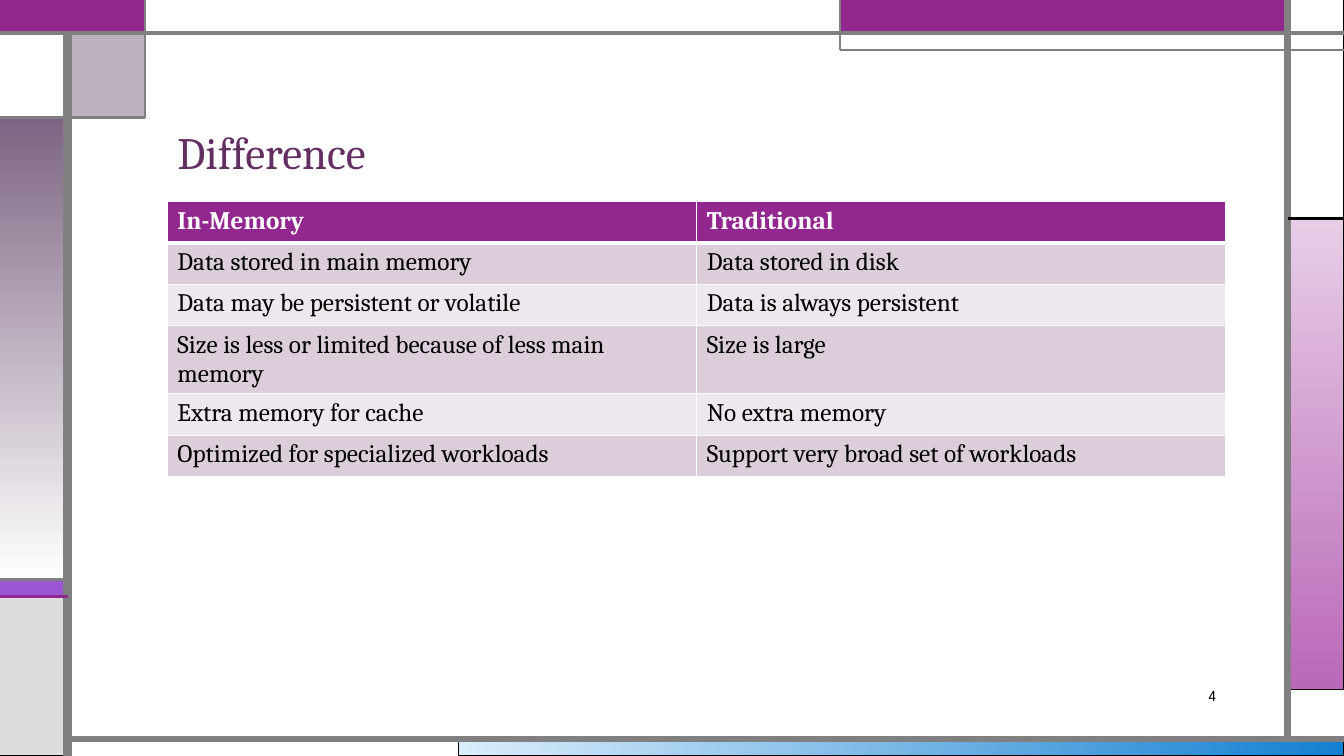
"""Build the slide comparing in-memory and traditional databases."""
from dataclasses import dataclass
from typing import Optional

from lxml.etree import SubElement
from pptx import Presentation
from pptx.dml.color import RGBColor
from pptx.enum.shapes import MSO_CONNECTOR, MSO_SHAPE
from pptx.enum.text import MSO_ANCHOR, MSO_AUTO_SIZE, PP_ALIGN
from pptx.oxml.ns import qn
from pptx.slide import Slide
from pptx.table import _Cell
from pptx.util import Inches, Pt


@dataclass(frozen=True)
class Theme:
    """Colours, fonts and type sizes of the slide."""
    accent: str = "92278F"
    violet: str = "9B57D3"
    blue_violet: str = "755DD9"
    mauve: str = "7E6583"
    pale_grey: str = "DDDDDD"
    grey: str = "808080"
    white: str = "FFFFFF"
    black: str = "000000"
    pink: tuple[str, str] = ("E8CDE7", "BA69B8")
    blue: tuple[str, str] = ("DAEDFB", "1480D1")
    bands: tuple[str, str] = ("DCCDDB", "EEE8EE")
    title_color: str = "632E62"
    font: str = "Cambria"
    number_font: str = "League Spartan"
    title_size: int = 32
    table_size: int = 18
    number_size: int = 11


THEME = Theme()
WIDTH, HEIGHT = 13.33, 7.5
LEFT_RAIL, RIGHT_RAIL = 0.67, 12.77
TOP_RAIL, BOTTOM_RAIL = 0.33, 7.33
CORNER_X, CORNER_Y = 1.44, 1.17
TAB_X, TAB_Y = 8.33, 0.5
PINK_TOP, PINK_BOTTOM = 2.17, 6.84
STRIPE_TOP, STRIPE_BOTTOM = 5.75, 5.92
CONTENT_X, CONTENT_WIDTH = 1.66, 10.5
ROW_HEIGHT = 0.41


@dataclass(frozen=True)
class Panel:
    """A frame panel given by its edges, with a plain or gradient fill."""
    left: float
    top: float
    right: float
    bottom: float
    color: str
    end_color: Optional[str] = None
    angle: int = 0
    opacity: int = 100
    outline: str = THEME.black
    outline_width: float = 0.75


@dataclass(frozen=True)
class Rail:
    """A straight frame line between two points."""
    x1: float
    y1: float
    x2: float
    y2: float
    width: float
    color: str = THEME.grey


PANELS = [
    Panel(4.55, BOTTOM_RAIL, WIDTH, HEIGHT, *THEME.blue),
    Panel(RIGHT_RAIL, PINK_TOP, WIDTH, PINK_BOTTOM, *THEME.pink, angle=270),
    Panel(0, STRIPE_TOP, LEFT_RAIL, STRIPE_BOTTOM, THEME.violet),
    Panel(0, STRIPE_BOTTOM, LEFT_RAIL, HEIGHT, THEME.pale_grey),
    Panel(RIGHT_RAIL, 0, WIDTH, PINK_TOP, THEME.white),
    Panel(TAB_X, 0, RIGHT_RAIL, TOP_RAIL, THEME.accent, outline=THEME.blue_violet),
    Panel(LEFT_RAIL, TOP_RAIL, CORNER_X, CORNER_Y, THEME.mauve, opacity=50),
    Panel(0, CORNER_Y, LEFT_RAIL, STRIPE_TOP, THEME.mauve, THEME.white, angle=270),
    Panel(0, TOP_RAIL, LEFT_RAIL, CORNER_Y, THEME.white),
    Panel(0, 0, CORNER_X, TOP_RAIL, THEME.accent, outline=THEME.accent, outline_width=1.5),
    Panel(CORNER_X, 0, TAB_X, TOP_RAIL, THEME.white, outline=THEME.grey),
]

RAILS = [
    Rail(LEFT_RAIL, HEIGHT, LEFT_RAIL, TOP_RAIL, 6),
    Rail(LEFT_RAIL, BOTTOM_RAIL, WIDTH, BOTTOM_RAIL, 4.5),
    Rail(RIGHT_RAIL, BOTTOM_RAIL, RIGHT_RAIL, 0, 4.5),
    Rail(0, TOP_RAIL, WIDTH, TOP_RAIL, 3),
    Rail(WIDTH, TAB_Y, TAB_X, TAB_Y, 1.5),
    Rail(TAB_X, TAB_Y, TAB_X, 0, 1.5),
    Rail(RIGHT_RAIL, PINK_TOP, WIDTH, PINK_TOP, 2.25, THEME.black),
    Rail(CORNER_X, 0, CORNER_X, CORNER_Y, 1.5),
    Rail(CORNER_X, CORNER_Y, 0, CORNER_Y, 2.25),
    Rail(LEFT_RAIL, STRIPE_TOP, 0, STRIPE_TOP, 2.25),
    Rail(LEFT_RAIL, STRIPE_BOTTOM, 0, STRIPE_BOTTOM, 2.25, THEME.accent),
]

COMPARISON = [
    ("In-Memory", "Traditional"),
    ("Data stored in main memory", "Data stored in disk"),
    ("Data may be persistent or volatile", "Data is always persistent"),
    ("Size is less or limited because of less main memory", "Size is large"),
    ("Extra memory for cache", "No extra memory"),
    ("Optimized for specialized workloads", "Support very broad set of workloads"),
]


def rgb(color: str) -> RGBColor:
    """Turn a hex string into a colour."""
    return RGBColor.from_string(color)


def style_font(font, name: str, size: int, color: str, bold: bool = False) -> None:
    """Set the typeface, size, colour and weight of a font."""
    font.name, font.size, font.bold = name, Pt(size), bold
    font.color.rgb = rgb(color)


def draw_panel(slide: Slide, panel: Panel) -> None:
    """Draw one panel of the frame."""
    block = slide.shapes.add_shape(
        MSO_SHAPE.RECTANGLE, Inches(panel.left), Inches(panel.top),
        Inches(panel.right - panel.left), Inches(panel.bottom - panel.top))
    block.shadow.inherit = False
    block.line.color.rgb = rgb(panel.outline)
    block.line.width = Pt(panel.outline_width)
    if panel.end_color:
        block.fill.gradient()
        block.fill.gradient_angle = panel.angle
        for stop, color in zip(block.fill.gradient_stops, (panel.color, panel.end_color)):
            stop.color.rgb = rgb(color)
        return
    block.fill.solid()
    block.fill.fore_color.rgb = rgb(panel.color)
    if panel.opacity < 100:
        tint = block.fill._xPr.find(qn("a:solidFill"))[0]
        SubElement(tint, qn("a:alpha"), val=str(panel.opacity * 1000))


def draw_rail(slide: Slide, rail: Rail) -> None:
    """Draw one line of the frame."""
    line = slide.shapes.add_connector(
        MSO_CONNECTOR.STRAIGHT, Inches(rail.x1), Inches(rail.y1), Inches(rail.x2), Inches(rail.y2))
    line.line.color.rgb = rgb(rail.color)
    line.line.width = Pt(rail.width)
    SubElement(line._element.spPr, qn("a:effectLst"))


def draw_borders(cell: _Cell, top: float, bottom: float) -> None:
    """Give a cell white borders, one point wide at the sides."""
    properties = cell._tc.get_or_add_tcPr()
    for side, width in (("L", 1), ("R", 1), ("T", top), ("B", bottom)):
        border = SubElement(properties, qn(f"a:ln{side}"), w=str(Pt(width)))
        SubElement(SubElement(border, qn("a:solidFill")), qn("a:srgbClr"), val=THEME.white)


def draw_comparison(slide: Slide) -> None:
    """Draw the comparison table with its header and banded rows."""
    table = slide.shapes.add_table(
        len(COMPARISON), 2, Inches(CONTENT_X), Inches(2),
        Inches(CONTENT_WIDTH), Inches(ROW_HEIGHT * len(COMPARISON))).table
    for index, statements in enumerate(COMPARISON):
        header = index == 0
        table.rows[index].height = Inches(ROW_HEIGHT)
        for cell, statement in zip(table.rows[index].cells, statements):
            draw_borders(cell, top=3 if index == 1 else 1, bottom=3 if header else 1)
            cell.fill.solid()
            cell.fill.fore_color.rgb = rgb(THEME.accent if header else THEME.bands[(index - 1) % 2])
            cell.text = statement
            style_font(cell.text_frame.paragraphs[0].font, THEME.font, THEME.table_size,
                       THEME.white if header else THEME.black, header)


def write_title(slide: Slide) -> None:
    """Place and format the slide title."""
    title = slide.shapes.title
    title.left, title.top = Inches(CONTENT_X), Inches(0.58)
    title.width, title.height = Inches(CONTENT_WIDTH), Inches(1.25)
    title.text_frame.text = "Difference"
    title.text_frame.auto_size = MSO_AUTO_SIZE.NONE
    title.text_frame.vertical_anchor = MSO_ANCHOR.BOTTOM
    heading = title.text_frame.paragraphs[0]
    heading.alignment, heading.line_spacing = PP_ALIGN.LEFT, 0.9
    style_font(heading.font, THEME.font, THEME.title_size, THEME.title_color)


def write_page_number(slide: Slide) -> None:
    """Write the page number at the lower right."""
    frame = slide.shapes.add_textbox(Inches(11.08), Inches(6.75), Inches(1.08), Inches(0.3)).text_frame
    frame.word_wrap, frame.vertical_anchor = True, MSO_ANCHOR.MIDDLE
    frame.text = "4"
    frame.paragraphs[0].alignment = PP_ALIGN.RIGHT
    style_font(frame.paragraphs[0].font, THEME.number_font, THEME.number_size, THEME.black)


deck = Presentation()
deck.slide_width, deck.slide_height = Inches(WIDTH), Inches(HEIGHT)
difference = deck.slides.add_slide(deck.slide_layouts[5])
for frame_panel in PANELS:
    draw_panel(difference, frame_panel)
for frame_rail in RAILS:
    draw_rail(difference, frame_rail)
write_title(difference)
draw_comparison(difference)
write_page_number(difference)
deck.save("out.pptx")
